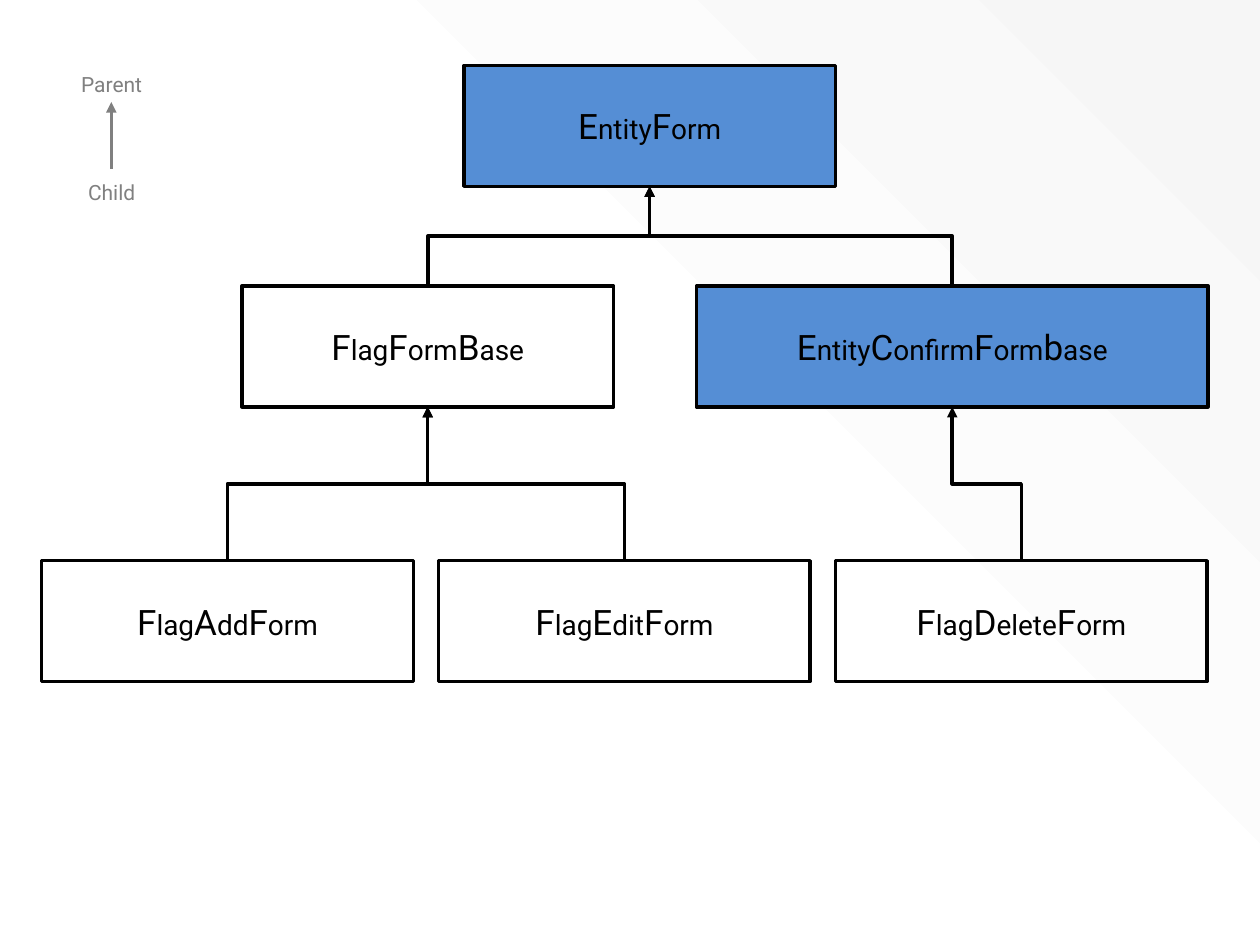
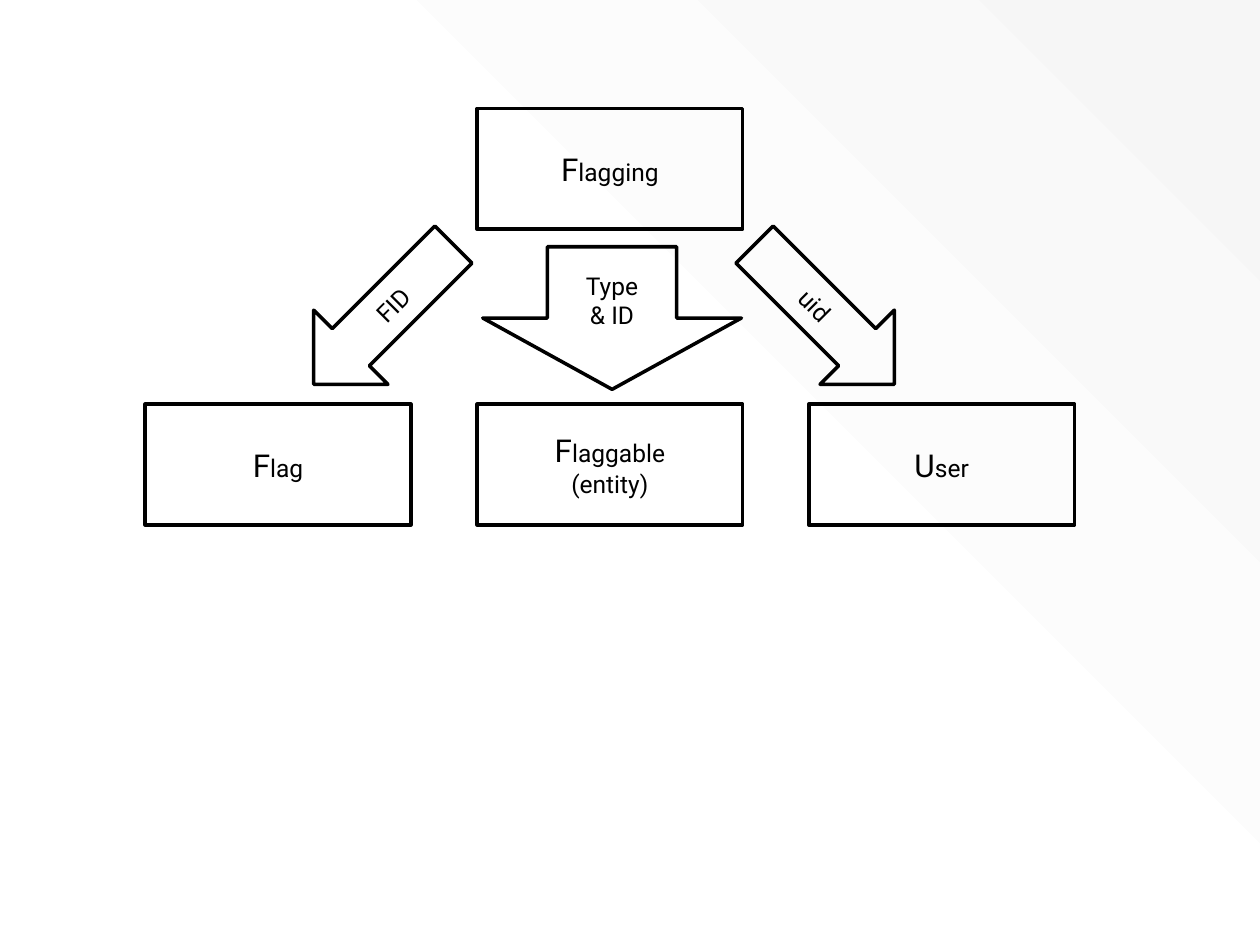
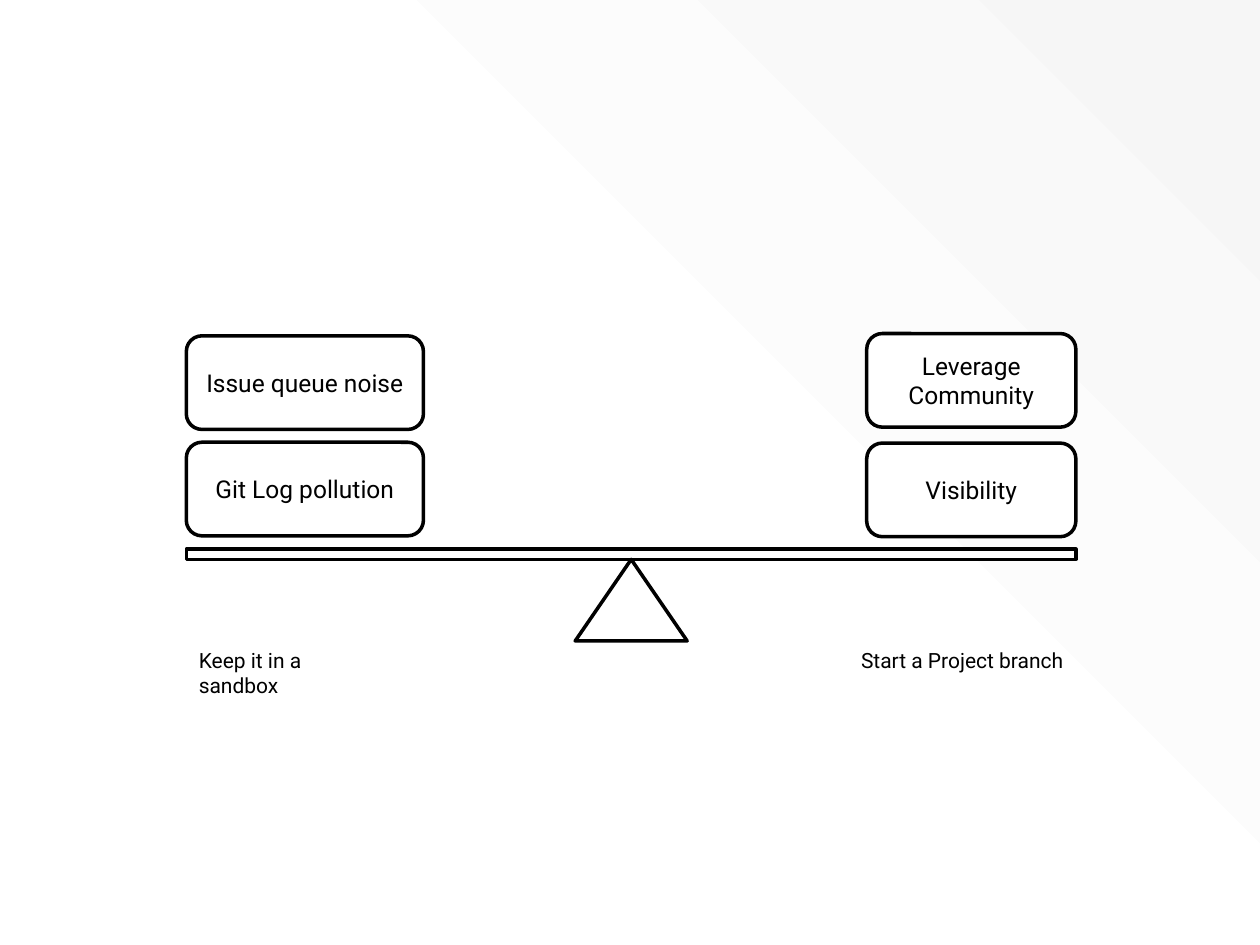
import dataclasses
import pptx
import pptx.dml.color
import pptx.enum.shapes
import pptx.enum.text
import pptx.oxml.ns
import pptx.oxml.xmlchemy
import pptx.util
from lxml import etree

Pt = pptx.util.Pt
RGB = pptx.dml.color.RGBColor.from_string
qn = pptx.oxml.ns.qn
Kind = pptx.enum.shapes.MSO_SHAPE
Link = pptx.enum.shapes.MSO_CONNECTOR
Align = pptx.enum.text.PP_ALIGN
Anchor = pptx.enum.text.MSO_ANCHOR


@dataclasses.dataclass(frozen=True)
class Theme:
    font: str = "Roboto"
    ink: str = "000000"
    gray: str = "808080"
    blue: str = "558ED5"
    white: str = "FFFFFF"
    shade: str = "F6F6F6"
    line: float = 2
    large: tuple = (20, 16)
    mid: tuple = (18, 14)
    plain: tuple = (14, 14)
    small: tuple = (12, 12)


theme = Theme()
WIDE, HIGH = 720, 540
BOX = 69

# "|" switches between the large and the small size of a label.
CLASSES = {
    "entity": ("E|ntity|F|orm", 265, 37.5, 212.4, theme.blue),
    "base": ("F|lag|F|orm|B|ase", 138.2, 163.5, 212.4, None),
    "confirm": ("E|ntity|C|onfirm|F|orm|b|ase", 398, 163.5, 292.3, theme.blue),
    "add": ("F|lag|A|dd|F|orm", 23.8, 320.4, 212.4, None),
    "edit": ("F|lag|E|dit|F|orm", 250.6, 320.4, 212.4, None),
    "delete": ("F|lag|D|elete|F|orm", 477.4, 320.4, 212.4, None),
}
PARENTS = [("base", "entity"), ("confirm", "entity"), ("add", "base"),
           ("edit", "base"), ("delete", "confirm")]
LEGEND = [("Parent", 37.5), ("Child", 98.8)]

FLAGGING = [("F|lagging", 1, 62), ("F|lag", 0, 231),
            ("F|laggable\n(entity)", 1, 231), ("U|ser", 2, 231)]
ARROWS = [
    (Kind.RIGHT_ARROW, ["uid"], (414.6, 149.7, 113, 60), 45),
    (Kind.LEFT_ARROW, ["FID"], (162.7, 149.7, 113, 60), 315),
    (Kind.DOWN_ARROW, ["Type", "& ID"], (275.9, 141, 147.8, 81.5), 0),
]

BEAM = (106.5, 313.8, 508.3, 5.9)
PIVOT = (328.7, 319.7, 64, 46.6)
WEIGHTS = [
    ("Git Log pollution", 106.5, 252.7, 135.5),
    ("Visibility", 495.3, 253.2, 119.5),
    ("Issue queue noise", 106.5, 191.9, 135.5),
    ("Leverage Community", 495.3, 190.6, 119.5),
]
SIDES = [("Keep it in a\nsandbox", 106.5, 202.3, Align.LEFT),
         ("Start a Project branch", 448.5, 166.3, Align.RIGHT)]


def write(shape, lines, sizes, align=Align.CENTER, color=theme.ink):
    frame = shape.text_frame
    frame.word_wrap = True
    for spot, line in enumerate(lines):
        para = frame.add_paragraph() if spot else frame.paragraphs[0]
        para.alignment = align
        para.font.name = theme.font
        para.font.size = Pt(sizes[1])
        para.font.color.rgb = RGB(color)
        for turn, part in enumerate(line.split("|")):
            for row, text in enumerate(part.split("\n")):
                if row:
                    para.add_line_break()
                run = para.add_run()
                run.text = text
                run.font.size = Pt(sizes[turn % 2])


def draw(slide, kind, at, lines=(), sizes=theme.plain, fill=None, turn=0):
    shape = slide.shapes.add_shape(kind, *map(Pt, at))
    shape.shadow.inherit = False
    shape.rotation = turn
    if fill:
        shape.fill.solid()
        shape.fill.fore_color.rgb = RGB(fill)
    else:
        shape.fill.background()
    shape.line.color.rgb = RGB(theme.ink)
    shape.line.width = Pt(theme.line)
    shape.text_frame.vertical_anchor = Anchor.MIDDLE
    write(shape, lines, sizes)
    return shape


def note(slide, text, at, align=Align.CENTER, color=theme.ink):
    write(slide.shapes.add_textbox(*map(Pt, at)), [text], theme.small, align, color)


def arrow(slide, kind, start, end, color):
    link = slide.shapes.add_connector(kind, *start, *end)
    link.line.color.rgb = RGB(color)
    link.line.width = Pt(theme.line)
    etree.SubElement(link.line._get_or_add_ln(), qn("a:tailEnd"), type="triangle")
    etree.SubElement(link.element.spPr, qn("a:effectLst"))
    return link


def inherit(slide, child, parent):
    start = child.left + child.width // 2, child.top
    end = parent.left + parent.width // 2, parent.top + parent.height
    link = arrow(slide, Link.ELBOW, start, end, theme.ink)
    link.begin_connect(child, 0)
    link.end_connect(parent, 2)
    rise, run = start[1] - end[1], abs(end[0] - start[0])
    link.left = (start[0] + end[0] - rise) // 2
    link.top = (start[1] + end[1] - run) // 2
    link.width, link.height = rise, run
    right = start[0] < end[0]
    frame = link.element.spPr.find(qn("a:xfrm"))
    frame.set("rot", str((90 if right else 270) * 60000))
    frame.set("flipH", "1" if right else "0")
    frame.set("flipV", "1")


def backdrop(deck, slide):
    shape = slide.shapes.add_shape(Kind.RECTANGLE, 0, 0, Pt(WIDE), Pt(HIGH))
    shape.shadow.inherit = False
    shape.line.fill.background()
    shape.fill.gradient()
    stops = zip(shape.fill.gradient_stops, [(0.49, theme.white), (1, theme.shade)])
    for stop, (place, color) in stops:
        stop.position = place
        stop.color.rgb = RGB(color)
    grad = shape.element.spPr.find(qn("a:gradFill"))
    grad.remove(grad.find(qn("a:lin")))
    route = etree.SubElement(grad, qn("a:path"), path="circle")
    etree.SubElement(route, qn("a:fillToRect"), t="100000", r="100000")
    shape.element.nvSpPr.cNvPr.set("id", "99")
    deck.slide_master.shapes.element.insert(2, shape.element)


def classes(slide):
    boxes = {}
    for key, (name, left, top, width, fill) in CLASSES.items():
        boxes[key] = draw(slide, Kind.RECTANGLE, (left, top, width, BOX),
                          [name], theme.large, fill)
    for child, parent in PARENTS:
        inherit(slide, boxes[child], boxes[parent])
    for text, top in LEGEND:
        note(slide, text, (23.8, top, 80, 21.8), color=theme.gray)
    arrow(slide, Link.STRAIGHT, (Pt(63.6), Pt(96.5)), (Pt(63.6), Pt(58.3)), theme.gray)


def flagging(slide):
    for name, col, top in FLAGGING:
        draw(slide, Kind.RECTANGLE, (83 + col * 189.6, top, 151.8, BOX),
             [name], theme.mid)
    for kind, lines, at, turn in ARROWS:
        draw(slide, kind, at, lines, turn=turn)


def balance(slide):
    draw(slide, Kind.RECTANGLE, BEAM, fill=theme.white)
    draw(slide, Kind.ISOSCELES_TRIANGLE, PIVOT, fill=theme.white)
    for text, left, width, align in SIDES:
        note(slide, text, (left, 366.5, width, 36), align)
    for text, left, top, width in WEIGHTS:
        draw(slide, Kind.ROUNDED_RECTANGLE, (left, top, width, 53.5),
             [text], fill=theme.white)


def main():
    deck = pptx.Presentation()
    deck.slide_width, deck.slide_height = Pt(WIDE), Pt(HIGH)
    blank = deck.slide_layouts[6]
    pages = [deck.slides.add_slide(blank) for _ in range(3)]
    backdrop(deck, pages[0])
    for fill, page in zip((classes, flagging, balance), pages):
        fill(page)
    deck.save("out.pptx")


if __name__ == "__main__":
    main()
